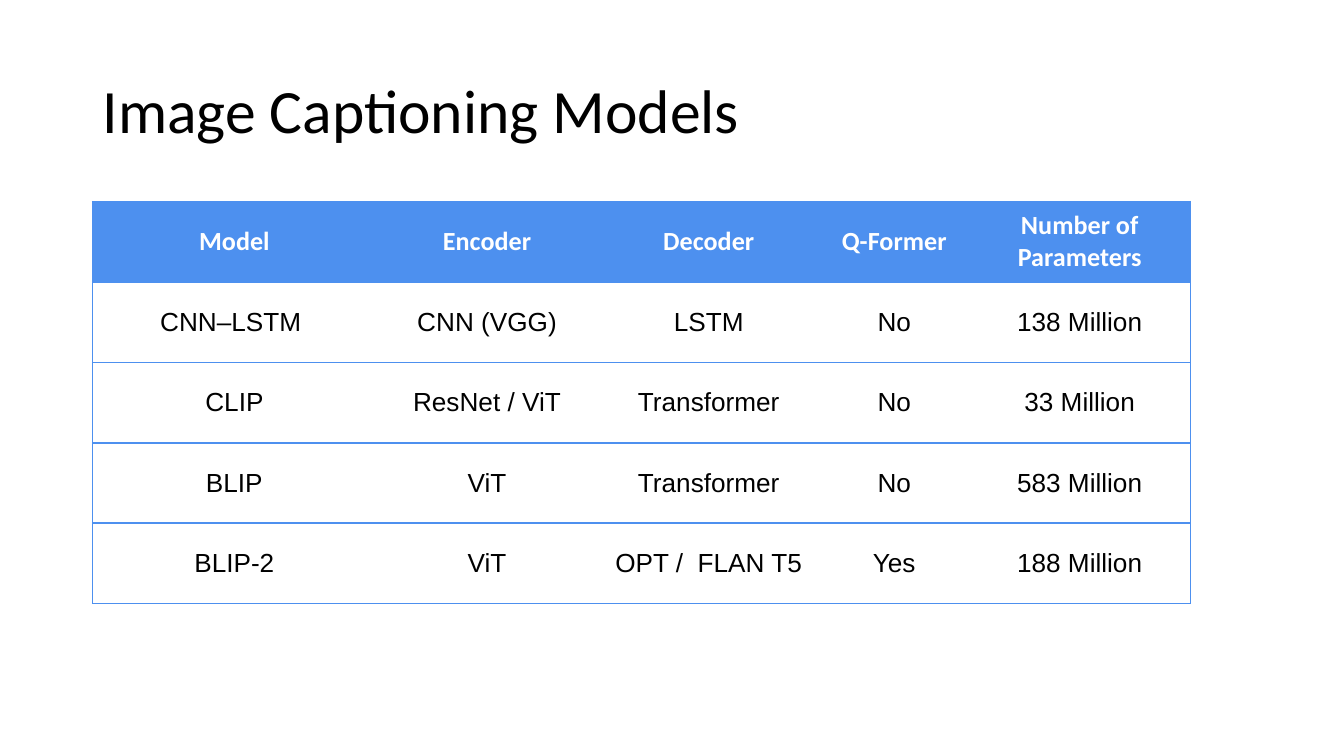
from dataclasses import dataclass

import pptx
import pptx.dml.color
import pptx.enum.text
import pptx.oxml
import pptx.oxml.ns
import pptx.table
import pptx.util

Cm = pptx.util.Cm
Pt = pptx.util.Pt
RGBColor = pptx.dml.color.RGBColor
MIDDLE = pptx.enum.text.MSO_ANCHOR.MIDDLE
ALIGN = pptx.enum.text.PP_ALIGN

BLUE = RGBColor(0x4D, 0x90, 0xEF)
WHITE = RGBColor(0xFF, 0xFF, 0xFF)
BLACK = RGBColor(0x00, 0x00, 0x00)

LEFT = Cm(1.75)
ROW_HEIGHT = Cm(1.52)
MARGINS = {
    "margin_left": Cm(0.19),
    "margin_right": Cm(0.19),
    "margin_top": Cm(0.1),
    "margin_bottom": Cm(0.1),
    "vertical_anchor": MIDDLE,
}
TITLE_FONT = {"name": "Calibri", "size": Pt(33), "bold": False}
HEADER_FONT = {"name": "Calibri", "size": Pt(14), "bold": True}
BODY_FONT = {"name": "Arial", "size": Pt(14), "bold": False}


@dataclass(frozen=True)
class Column:
    heading: str
    width: float
    values: tuple[str, ...]


COLUMNS = (
    Column("Model", 5.36, ("CNN–LSTM ", "CLIP", "BLIP", "BLIP-2")),
    Column("Encoder", 4.19, ("CNN (VGG)", "ResNet / ViT", "ViT", "ViT")),
    Column("Decoder", 4.19, ("LSTM", "Transformer", "Transformer", "OPT /  FLAN T5")),
    Column("Q-Former", 2.82, ("No", "No", "No", "Yes")),
    Column("Number of Parameters", 4.19,
           ("138 Million", "33 Million", "583 Million", "188 Million")),
)


def set_attributes(target: object, values: dict) -> None:
    for name, value in values.items():
        setattr(target, name, value)


def write_text(paragraph, text: str, font: dict, color: RGBColor, alignment) -> None:
    paragraph.alignment = alignment
    run = paragraph.add_run()
    run.text = text
    set_attributes(run.font, font)
    run.font.color.rgb = color


def set_borders(cell: pptx.table._Cell, visible: dict[str, bool]) -> None:
    """Add the sides in schema order (L, R, T, B); call before filling the cell."""
    properties = cell._tc.get_or_add_tcPr()
    for side, shown in visible.items():
        paint = f'<a:solidFill><a:srgbClr val="{BLUE}"/></a:solidFill>' if shown else "<a:noFill/>"
        properties.append(pptx.oxml.parse_xml(
            f'<a:ln{side} {pptx.oxml.ns.nsdecls("a")} w="{Pt(1)}">{paint}</a:ln{side}>'))


def add_title(slide, text: str) -> None:
    title = slide.shapes.title
    set_attributes(title, {"left": LEFT, "top": Cm(0.76), "width": Cm(21.9), "height": Cm(2.77)})
    set_attributes(title.text_frame, MARGINS)
    paragraph = title.text_frame.paragraphs[0]
    paragraph.line_spacing = 0.9
    write_text(paragraph, text, TITLE_FONT, BLACK, ALIGN.LEFT)


def add_model_table(slide, columns: tuple[Column, ...]) -> None:
    row_count = len(columns[0].values) + 1
    width = Cm(sum(column.width for column in columns))
    table = slide.shapes.add_table(
        row_count, len(columns), LEFT, Cm(3.81), width, ROW_HEIGHT * row_count).table
    table.horz_banding = False
    for row in table.rows:
        row.height = ROW_HEIGHT
    for column_index, column in enumerate(columns):
        table.columns[column_index].width = Cm(column.width)
        for row_index, text in enumerate((column.heading, *column.values)):
            is_header = row_index == 0
            cell = table.cell(row_index, column_index)
            set_attributes(cell, MARGINS)
            set_borders(cell, {
                "L": column_index == 0,
                "R": column_index == len(columns) - 1,
                "T": True,
                "B": True,
            })
            cell.fill.solid()
            cell.fill.fore_color.rgb = BLUE if is_header else WHITE
            write_text(cell.text_frame.paragraphs[0], text,
                       HEADER_FONT if is_header else BODY_FONT,
                       WHITE if is_header else BLACK, ALIGN.CENTER)


def main() -> None:
    presentation = pptx.Presentation()
    presentation.slide_width = Cm(25.4)
    presentation.slide_height = Cm(14.29)
    slide = presentation.slides.add_slide(presentation.slide_layouts[5])
    add_title(slide, "Image Captioning Models")
    add_model_table(slide, COLUMNS)
    presentation.save("out.pptx")


if __name__ == "__main__":
    main()
